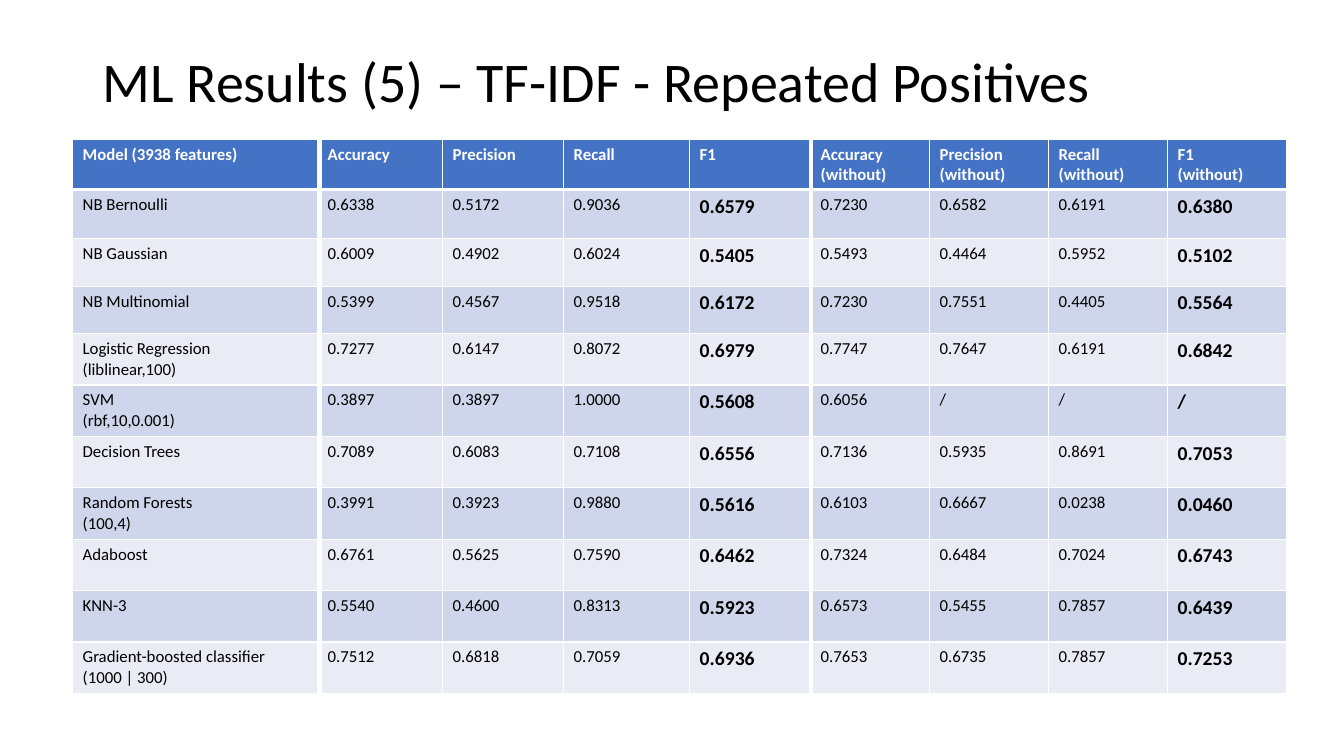
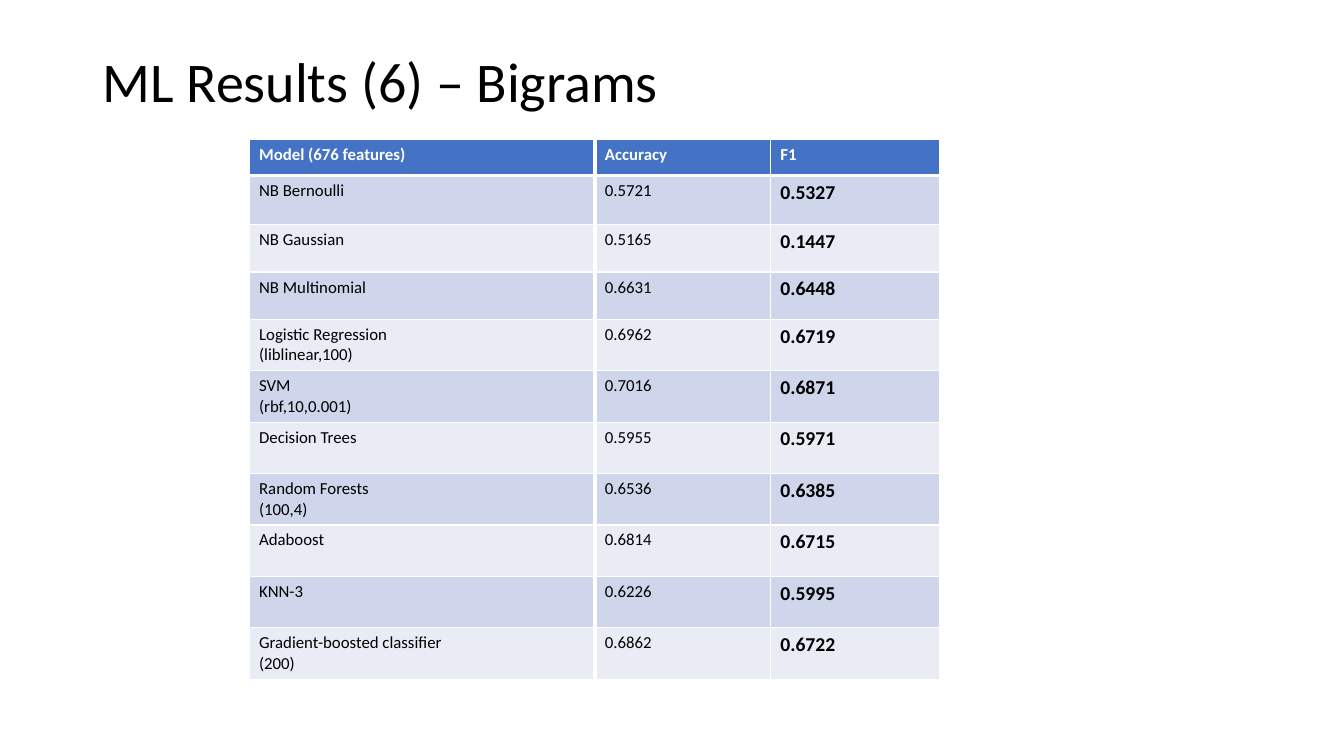
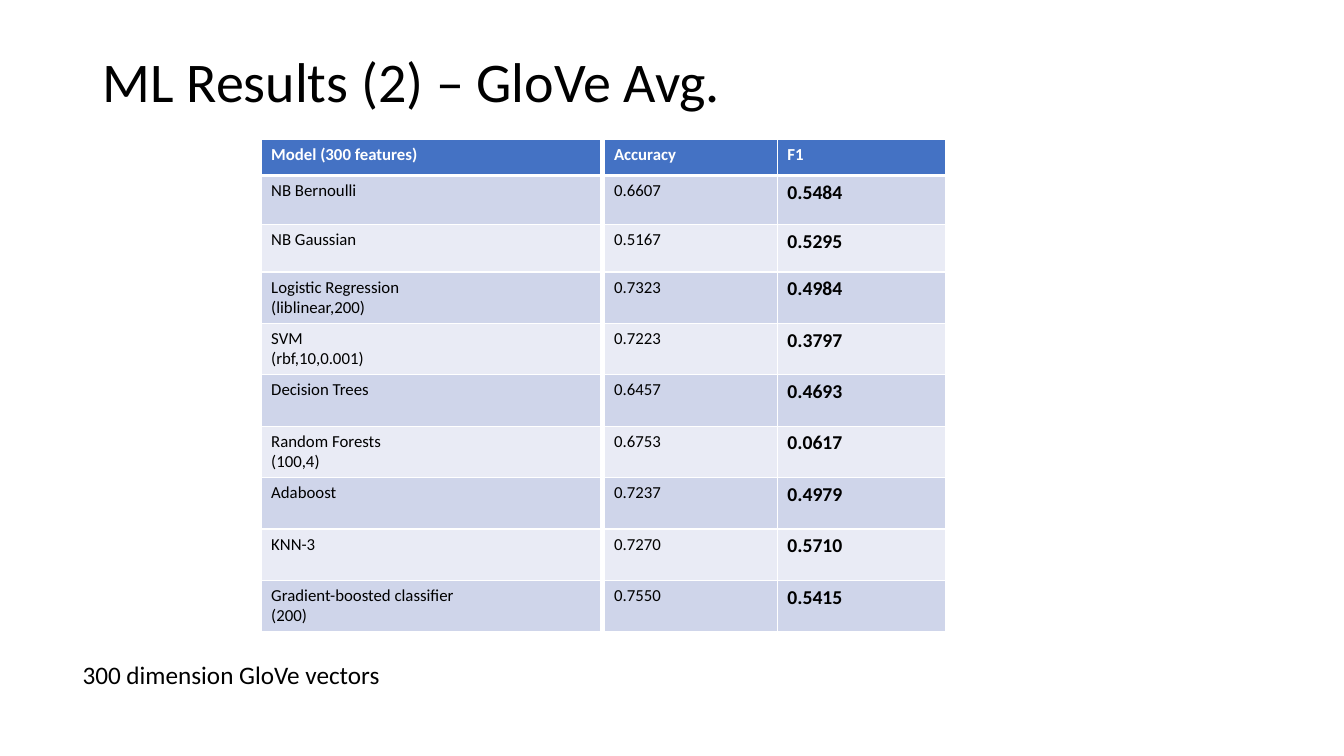
from dataclasses import dataclass

from lxml import etree
from pptx import Presentation
from pptx import util as u
from pptx.dml.color import RGBColor
from pptx.enum import shapes, text
from pptx.oxml import ns


@dataclass(frozen=True)
class Theme:
    font: str = "Calibri"
    ink: str = "000000"
    white: str = "FFFFFF"
    head: str = "4472C4"
    bands: tuple = ("CFD5EA", "E9EBF5")
    title: int = 40
    note: int = 18
    score: int = 14
    body: int = 12
    thin: int = 1
    thick: int = 3


T = Theme()
TITLE = (0.92, 0.11, 11.5, 1.45)
TOP = 1.38
HEAD, FIRST, BAYES, ROW = 0.36, 0.49, 0.47, 0.51

LOGIT = "Logistic Regression\n(liblinear,100)"
SVM = "SVM\n(rbf,10,0.001)"
FOREST = "Random Forests\n(100,4)"
BOOST = "Gradient-boosted classifier\n"

REPEAT = [
    ("NB Bernoulli", "0.6338 0.5172 0.9036 0.6579 0.7230 0.6582 0.6191 0.6380"),
    ("NB Gaussian", "0.6009 0.4902 0.6024 0.5405 0.5493 0.4464 0.5952 0.5102"),
    ("NB Multinomial", "0.5399 0.4567 0.9518 0.6172 0.7230 0.7551 0.4405 0.5564"),
    (LOGIT, "0.7277 0.6147 0.8072 0.6979 0.7747 0.7647 0.6191 0.6842"),
    (SVM, "0.3897 0.3897 1.0000 0.5608 0.6056 / / /"),
    ("Decision Trees", "0.7089 0.6083 0.7108 0.6556 0.7136 0.5935 0.8691 0.7053"),
    (FOREST, "0.3991 0.3923 0.9880 0.5616 0.6103 0.6667 0.0238 0.0460"),
    ("Adaboost", "0.6761 0.5625 0.7590 0.6462 0.7324 0.6484 0.7024 0.6743"),
    ("KNN-3", "0.5540 0.4600 0.8313 0.5923 0.6573 0.5455 0.7857 0.6439"),
    (BOOST + "(1000 | 300)", "0.7512 0.6818 0.7059 0.6936 0.7653 0.6735 0.7857 0.7253"),
]
BIGRAM = [
    ("NB Bernoulli", "0.5721 0.5327"),
    ("NB Gaussian", "0.5165 0.1447"),
    ("NB Multinomial", "0.6631 0.6448"),
    (LOGIT, "0.6962 0.6719"),
    (SVM, "0.7016 0.6871"),
    ("Decision Trees", "0.5955 0.5971"),
    (FOREST, "0.6536 0.6385"),
    ("Adaboost", "0.6814 0.6715"),
    ("KNN-3", "0.6226 0.5995"),
    (BOOST + "(200)", "0.6862 0.6722"),
]
GLOVE = [
    ("NB Bernoulli", "0.6607 0.5484"),
    ("NB Gaussian", "0.5167 0.5295"),
    ("Logistic Regression\n(liblinear,200)", "0.7323 0.4984"),
    (SVM, "0.7223 0.3797"),
    ("Decision Trees", "0.6457 0.4693"),
    (FOREST, "0.6753 0.0617"),
    ("Adaboost", "0.7237 0.4979"),
    ("KNN-3", "0.7270 0.5710"),
    (BOOST + "(200)", "0.7550 0.5415"),
]
SHORT = ["Accuracy", "F1"]
FULL = ["Accuracy", "Precision", "Recall", "F1", "Accuracy (without)",
        "Precision (without)", "Recall (without)", "F1\n(without)"]


def style(frame, size, color, bold=False):
    for para in frame.paragraphs:
        para.font.name = T.font
        para.font.size = u.Pt(size)
        para.font.bold = bold
        para.font.color.rgb = RGBColor.from_string(color)


def label(slide, box, words, size, wrap=True):
    frame = slide.shapes.add_textbox(*map(u.Inches, box)).text_frame
    frame.word_wrap = wrap
    frame.text = words
    style(frame, size, T.ink)
    return frame


def heading(slide, words):
    frame = label(slide, TITLE, words, T.title)
    frame.vertical_anchor = text.MSO_ANCHOR.MIDDLE
    frame.paragraphs[0].line_spacing = 0.9


def edges(cell, top, bottom):
    props = cell._tc.get_or_add_tcPr()
    for side, width in zip("LRTB", (T.thin, T.thin, top, bottom)):
        line = etree.SubElement(props, ns.qn("a:ln" + side), w=str(u.Pt(width)))
        fill = etree.SubElement(line, ns.qn("a:solidFill"))
        etree.SubElement(fill, ns.qn("a:srgbClr"), val=T.white)


def paint(cell, words, row, strong):
    edges(cell, T.thick if row == 1 else T.thin, T.thin if row else T.thick)
    fill = T.bands[(row - 1) % 2] if row else T.head
    cell.fill.solid()
    cell.fill.fore_color.rgb = RGBColor.from_string(fill)
    cell.text_frame.text = words
    size = T.score if row and strong else T.body
    style(cell.text_frame, size, T.ink if row else T.white, strong or not row)


def height(row, name):
    if row < 2:
        return FIRST if row else HEAD
    return BAYES if name.startswith("NB") else ROW


def grid(slide, left, widths, heads, data):
    rows = [heads] + [[name] + nums.split() for name, nums in data]
    tall = [height(i, row[0]) for i, row in enumerate(rows)]
    box = (left, TOP, sum(widths), sum(tall))
    table = slide.shapes.add_table(
        len(rows), len(heads), *map(u.Inches, box)).table
    for col, width in zip(table.columns, widths):
        col.width = u.Inches(width)
    for i, row in enumerate(rows):
        table.rows[i].height = u.Inches(tall[i])
        for j, words in enumerate(row):
            paint(table.cell(i, j), words, i, heads[j].startswith("F1"))


def rule(slide, x, top, end):
    line = slide.shapes.add_connector(
        shapes.MSO_CONNECTOR.STRAIGHT, *map(u.Inches, (x, top, x, end)))
    line.line.color.rgb = RGBColor.from_string(T.white)
    line.line.width = u.Pt(T.thick)
    etree.SubElement(line._element.spPr, ns.qn("a:effectLst"))


def result(deck, title, left, widths, heads, data, rules):
    slide = deck.slides.add_slide(deck.slide_layouts[6])
    heading(slide, title)
    grid(slide, left, widths, heads, data)
    for spot in rules:
        rule(slide, *spot)
    return slide


def main():
    deck = Presentation()
    deck.slide_width = u.Inches(13.33)
    deck.slide_height = u.Inches(7.5)
    result(deck, "ML Results (5) – TF-IDF - Repeated Positives", 0.72,
           [2.43, 1.24, 1.2, 1.25, 1.2] + [1.18] * 4,
           ["Model (3938 features)"] + FULL, REPEAT,
           [(8.04, TOP, 6.88), (3.17, TOP, 6.88)])
    result(deck, "ML Results (6) – Bigrams", 2.47, [3.43, 1.74, 1.69],
           ["Model (676 features)"] + SHORT, BIGRAM,
           [(9.33, TOP, 6.88), (5.9, 1.25, 6.76)])
    last = result(deck, "ML Results (2) – GloVe Avg.", 2.59, [3.4, 1.72, 1.67],
                  ["Model (300 features)"] + SHORT, GLOVE,
                  [(5.97, TOP, 6.41)])
    label(last, (0.72, 6.49, 3.18, 0.4), "300 dimension GloVe vectors",
          T.note, wrap=False)
    deck.save("out.pptx")


if __name__ == "__main__":
    main()
